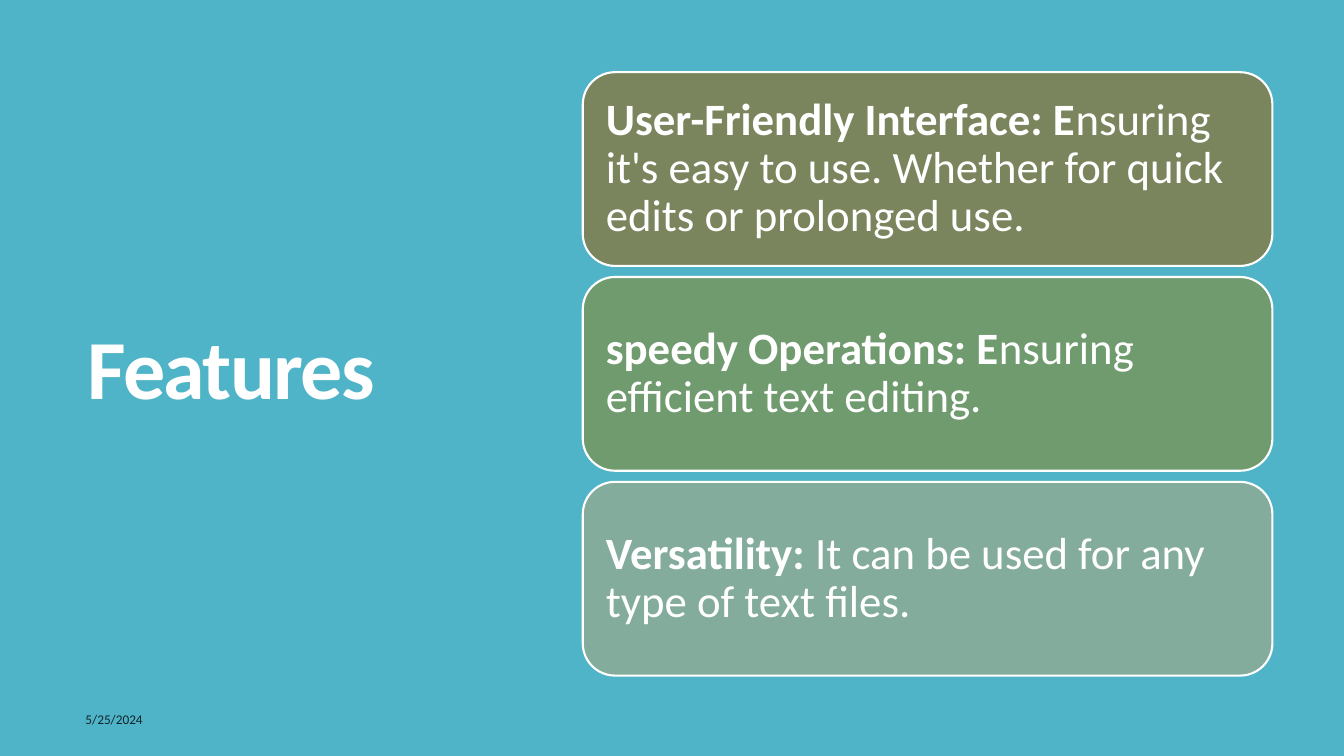
from dataclasses import dataclass

from pptx import Presentation
from pptx.dml.color import RGBColor
from pptx.enum.shapes import MSO_SHAPE
from pptx.enum.text import MSO_ANCHOR
from pptx.util import Pt

ROUNDED = MSO_SHAPE.ROUNDED_RECTANGLE
MIDDLE = MSO_ANCHOR.MIDDLE


@dataclass(frozen=True)
class Theme:
    font: str = "Calibri"
    background: str = "50B4C8"
    light: str = "FFFFFF"
    date: str = "102428"
    card_fills: tuple = ("7A855D", "709B6E", "84AC9D")
    title_size: float = 60
    card_size: float = 32
    date_size: float = 9.5


theme = Theme()


def style_run(r, size, color, bold=False):
    r.font.name = theme.font
    r.font.size = Pt(size)
    r.font.bold = bold
    r.font.color.rgb = RGBColor.from_string(color)


def add_label(s, text, left, top, width, height):
    """Add a wrapped, vertically centred text box and return its paragraph."""
    tf = s.shapes.add_textbox(Pt(left), Pt(top), Pt(width), Pt(height)).text_frame
    tf.word_wrap = True
    tf.vertical_anchor = MIDDLE
    tf.text = text
    return tf.paragraphs[0]


prs = Presentation()
prs.slide_width, prs.slide_height = Pt(960), Pt(540)
s = prs.slides.add_slide(prs.slide_layouts[6])
s.background.fill.solid()
s.background.fill.fore_color.rgb = RGBColor.from_string(theme.background)

# Title
p = add_label(s, "Features", 55.4, 50.4, 314.6, 432.7)
p.line_spacing = 0.85
r = p.runs[0]
style_run(r, theme.title_size, theme.light, bold=True)
r.font._element.set("spc", "-120")

# Feature cards
features = [
    ("User-Friendly Interface: E",
     "nsuring it's easy to use. Whether for quick edits or prolonged use."),
    ("speedy Operations: E", "nsuring efficient text editing."),
    ("Versatility:", " It can be used for any type of text files."),
]
CARD_LEFT, CARD_TOP, CARD_WIDTH, CARD_HEIGHT = 416.3, 51.6, 492.6, 138.4
CARD_PITCH = 146.3
CARD_INSET = 16.4

for i, ((heading, detail), fill) in enumerate(zip(features, theme.card_fills)):
    card = s.shapes.add_shape(ROUNDED, Pt(CARD_LEFT), Pt(CARD_TOP + i * CARD_PITCH),
                              Pt(CARD_WIDTH), Pt(CARD_HEIGHT))
    card.shadow.inherit = False
    card.fill.solid()
    card.fill.fore_color.rgb = RGBColor.from_string(fill)
    card.line.color.rgb = RGBColor.from_string(theme.light)
    card.line.width = Pt(1.5)

    # The rounded corners already inset the text by part of CARD_INSET
    corner_inset = card.adjustments[0] * CARD_HEIGHT * 0.29
    tf = card.text_frame
    tf.word_wrap = True
    tf.vertical_anchor = MIDDLE
    tf.margin_left = tf.margin_right = Pt(round(CARD_INSET - corner_inset, 2))
    tf.margin_top = tf.margin_bottom = Pt(9.4)
    tf.text = heading
    p = tf.paragraphs[0]
    p.alignment = 1
    p.line_spacing = 0.9
    p.add_run().text = detail
    for r, bold in zip(p.runs, (True, False)):
        style_run(r, theme.card_size, theme.light, bold)

# Date
p = add_label(s, "5/25/2024", 54, 504.7, 324, 18)
style_run(p.runs[0], theme.date_size, theme.date)

prs.save("out.pptx")
